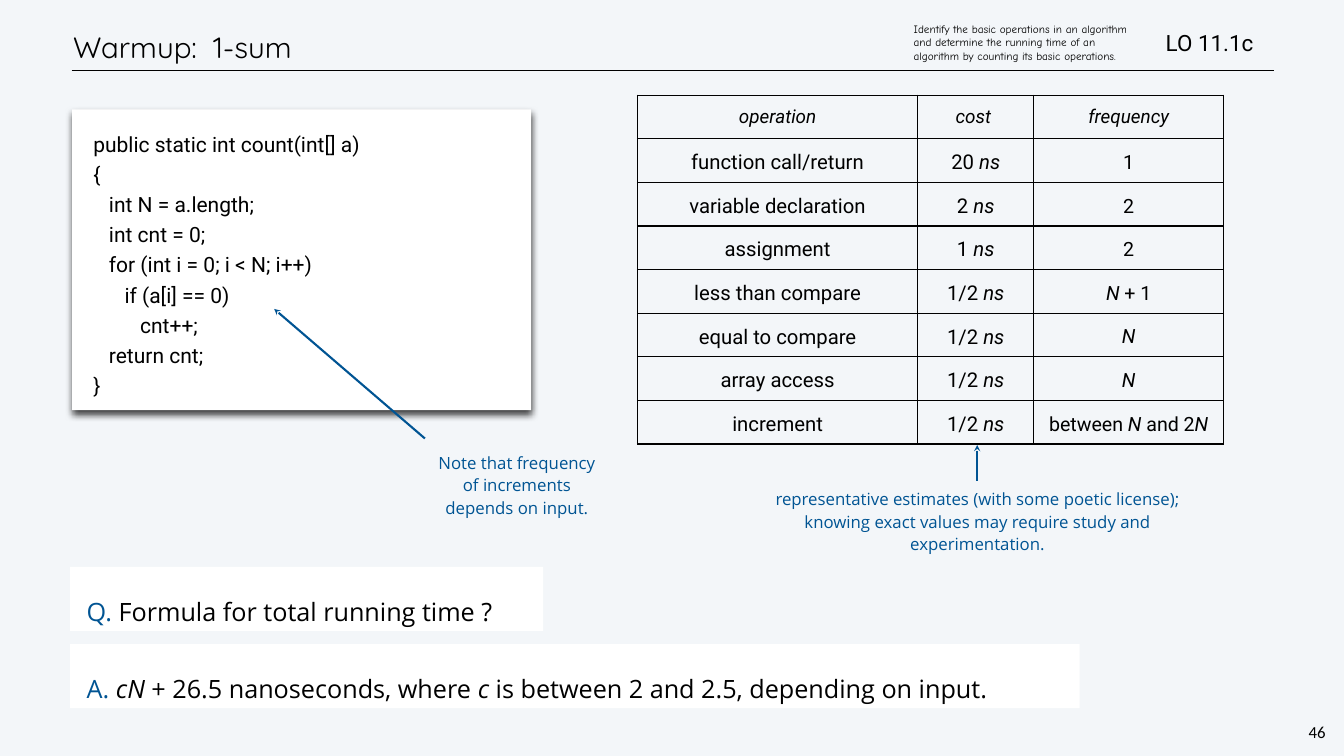
"""Build the 1-sum warmup slide on counting basic operations."""
import pptx
import pptx.dml.color
import pptx.enum.shapes
import pptx.enum.text
import pptx.oxml
import pptx.oxml.ns
import pptx.util

Pt = pptx.util.Pt
ALIGN = pptx.enum.text.PP_ALIGN
ANCHOR = pptx.enum.text.MSO_ANCHOR
BLACK, BLUE, WHITE, PAPER = "000000", "005493", "FFFFFF", "F3F6F9"

TITLE = "Warmup:  1-sum"
OBJECTIVE_CODE = "LO 11.1c"
OBJECTIVE = ("Identify the basic operations in an algorithm and determine the running time "
             "of an algorithm by counting its basic operations.")
PAGE = "46"
CODE = [
    "public static int count(int[] a)",
    "{",
    "   int N = a.length;",
    "   int cnt = 0;",
    "   for (int i = 0; i < N; i++)",
    "      if (a[i] == 0)",
    "         cnt++;",
    "   return cnt;",
    "}",
]
COSTS = [
    ("*operation*", "*cost *", "*frequency*"),
    ("function call/return", "20 *ns*", "1"),
    ("variable declaration", "2* ns*", "2"),
    ("assignment", "1 *ns*", "2"),
    ("less than compare", "1/2 *ns*", "*N *+ 1"),
    ("equal to compare", "1/2 *ns*", "*N*"),
    ("array access", "1/2 *ns*", "*N*"),
    ("increment", "1/2 *ns*", "between *N* and 2*N*"),
]
COLUMN_WIDTHS = (400.3, 165.6, 271.4)
ROW_HEIGHT = 62.3
NOTES = [
    ((1077.8, 691.8, 630.7, 100), ["representative estimates (with some poetic license);",
                                   "knowing exact values may require study and experimentation."]),
    ((601.2, 640.6, 267.8, 100), ["Note that frequency of increments", "depends on input."]),
]
ARROWS = [((1396, 635.8), (1396, 686.9)), ((391.7, 441.4), (607, 626.4))]
QUESTIONS = [
    ("Q. ", "Formula for total running time ?", 676),
    ("A. ", "*cN *+ 26.5 nanoseconds, where *c* is between 2 and 2.5, depending on input.", 1442.2),
]
QUESTION_TOP, QUESTION_STEP, QUESTION_HEIGHT = 810, 110.2, 91.4


def rgb(value):
    return pptx.dml.color.RGBColor.from_string(value)


def add_run(paragraph, text, size, font, color, italic=False):
    run = paragraph.add_run()
    run.text = text
    run.font.size, run.font.name, run.font.italic = Pt(size), font, italic
    run.font.color.rgb = rgb(color)


def write(frame, lines, size, font, color=BLACK, align=ALIGN.LEFT, spacing=None,
          before=0, indent=0, label=""):
    """Write lines into a frame; text between asterisks is italic."""
    for index, line in enumerate(lines):
        paragraph = frame.add_paragraph() if index else frame.paragraphs[0]
        paragraph.alignment = align
        if spacing:
            paragraph.line_spacing = spacing
        if index and before:
            paragraph.space_before = Pt(before)
        if indent:
            properties = paragraph._p.get_or_add_pPr()
            properties.set("marL", str(Pt(indent)))
            properties.set("indent", "0")
        if label:
            add_run(paragraph, label, size, font, BLUE)
        for part, text in enumerate(line.split("*")):
            if text:
                add_run(paragraph, text, size, font, color, part % 2 == 1)


def set_frame(frame, margins, anchor=ANCHOR.TOP, wrap=True):
    frame.word_wrap, frame.vertical_anchor = wrap, anchor
    (frame.margin_left, frame.margin_top,
     frame.margin_right, frame.margin_bottom) = map(Pt, margins)
    return frame


def add_text(slide, place, margins=(4.3,) * 4, anchor=ANCHOR.TOP, wrap=True):
    return set_frame(slide.shapes.add_textbox(*map(Pt, place)).text_frame, margins, anchor, wrap)


def add_panel(slide, place, margins):
    panel = slide.shapes.add_shape(pptx.enum.shapes.MSO_SHAPE.RECTANGLE, *map(Pt, place))
    panel.shadow.inherit = False
    panel.fill.solid()
    panel.fill.fore_color.rgb = rgb(WHITE)
    panel.line.fill.background()
    set_frame(panel.text_frame, margins)
    return panel


def add_line(slide, start, end, color, width, arrow=False):
    line = slide.shapes.add_connector(pptx.enum.shapes.MSO_CONNECTOR.STRAIGHT,
                                      *map(Pt, (*start, *end)))
    line.line.color.rgb, line.line.width = rgb(color), Pt(width)
    if arrow:
        outline = line.line._get_or_add_ln()
        outline.append(outline.makeelement(pptx.oxml.ns.qn("a:headEnd"), {"type": "stealth"}))
    properties = line._element.spPr
    properties.append(properties.makeelement(pptx.oxml.ns.qn("a:effectLst"), {}))


def add_shadow(panel):
    effects = panel._element.spPr.find(pptx.oxml.ns.qn("a:effectLst"))
    effects.append(pptx.oxml.parse_xml(
        f'<a:outerShdw {pptx.oxml.ns.nsdecls("a")} blurRad="{Pt(10)}" dist="{Pt(6)}" '
        f'dir="5400000" rotWithShape="0"><a:srgbClr val="{BLACK}"><a:alpha val="75000"/>'
        '</a:srgbClr></a:outerShdw>'))


def add_borders(cell):
    properties = cell._tc.get_or_add_tcPr()
    for position, side in enumerate(("lnL", "lnR", "lnT", "lnB")):
        properties.insert(position, pptx.oxml.parse_xml(
            f'<a:{side} {pptx.oxml.ns.nsdecls("a")} w="{Pt(2)}"><a:solidFill>'
            f'<a:srgbClr val="{BLACK}"/></a:solidFill></a:{side}>'))


def add_costs(slide):
    place = (910.8, 136.1, sum(COLUMN_WIDTHS), ROW_HEIGHT * len(COSTS))
    table = slide.shapes.add_table(len(COSTS), len(COLUMN_WIDTHS), *map(Pt, place)).table
    table.first_row = table.horz_banding = False
    for column, width in zip(table.columns, COLUMN_WIDTHS):
        column.width = Pt(width)
    for row_index, costs in enumerate(COSTS):
        table.rows[row_index].height = Pt(ROW_HEIGHT)
        for column_index, text in enumerate(costs):
            cell = table.cell(row_index, column_index)
            cell.fill.background()
            cell.vertical_anchor = ANCHOR.MIDDLE
            cell.margin_left = cell.margin_right = cell.margin_top = cell.margin_bottom = Pt(2.7)
            if row_index == 0:
                size, spacing = 27, 32
            else:
                size, spacing = (28, 39) if column_index == 2 else (29, 40)
            write(cell.text_frame, [text], size, "Roboto", align=ALIGN.CENTER, spacing=Pt(spacing))
            add_borders(cell)


def main():
    deck = pptx.Presentation()
    deck.slide_width, deck.slide_height = Pt(1920), Pt(1080)
    slide = deck.slides.add_slide(deck.slide_layouts[6])
    slide.background.fill.solid()
    slide.background.fill.fore_color.rgb = rgb(PAPER)

    add_line(slide, (102.2, 100.8), (1819.4, 100.8), BLACK, 1)
    write(add_text(slide, (1866.2, 1028.9, 31, 33.8), (2.9,) * 4, wrap=False),
          [PAGE], 24, "Calibri", align=ALIGN.CENTER, spacing=Pt(28))
    write(add_text(slide, (100.1, 31.7, 1628.6, 71.3), anchor=ANCHOR.MIDDLE),
          [TITLE], 42, "Quicksand", spacing=Pt(50))
    write(add_text(slide, (1661, 36.7, 215.3, 46.8), anchor=ANCHOR.MIDDLE),
          [OBJECTIVE_CODE], 32, "Roboto")
    write(add_text(slide, (1297.4, 8.5, 319, 104.4), anchor=ANCHOR.MIDDLE),
          [OBJECTIVE], 16, "Comic Neue", indent=3.6)

    code = add_panel(slide, (103, 156.2, 655.9, 429.8), (23.8,) * 4)
    add_shadow(code)
    write(code.text_frame, CODE, 30, "Roboto", spacing=1.2, indent=6.5)
    for index, (label, text, width) in enumerate(QUESTIONS):
        place = (100.1, QUESTION_TOP + index * QUESTION_STEP, width, QUESTION_HEIGHT)
        question = add_panel(slide, place, (23.8, 29.8, 23.8, 23.8))
        write(question.text_frame, [text], 36, "Open Sans", spacing=Pt(55), label=label)

    add_costs(slide)
    for place, lines in NOTES:
        write(add_text(slide, place), lines, 24, "Open Sans", BLUE, ALIGN.CENTER, Pt(31), 2, 6.5)
    for tip, tail in ARROWS:
        add_line(slide, tip, tail, BLUE, 3, arrow=True)
    deck.save("out.pptx")


if __name__ == "__main__":
    main()
